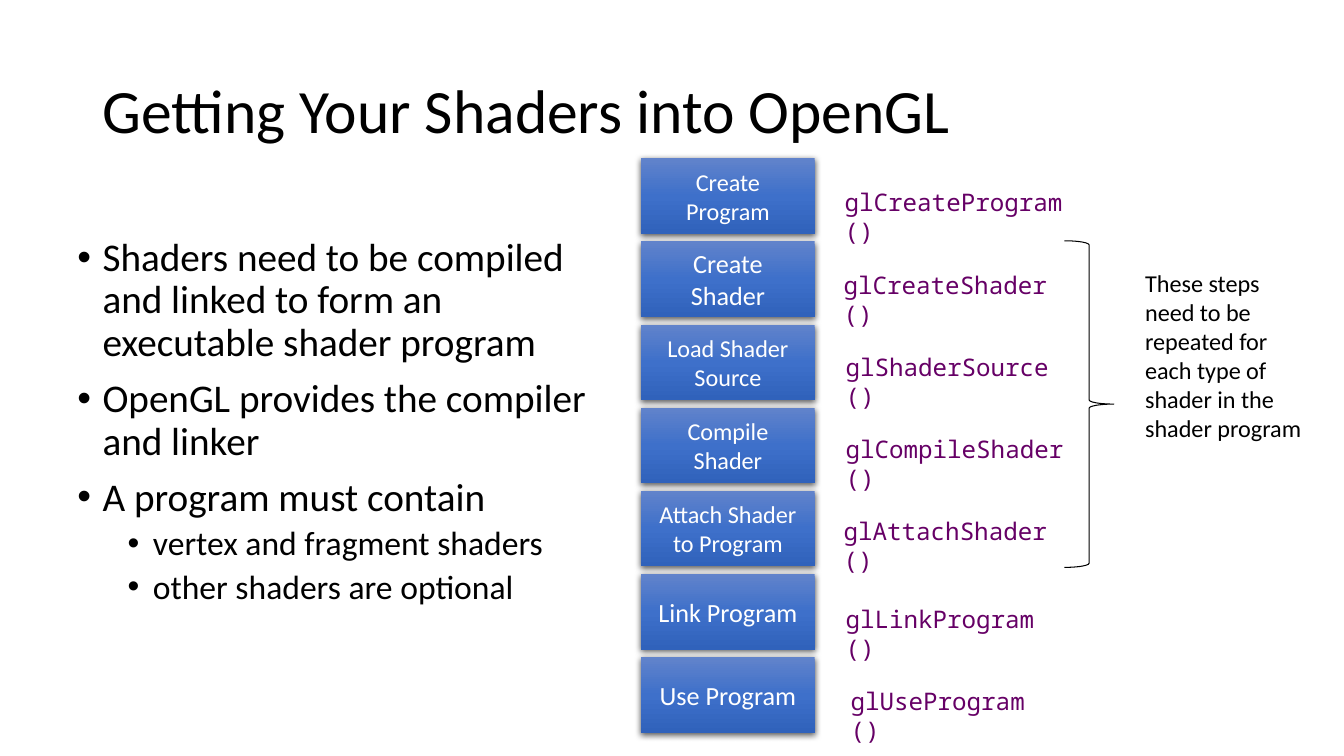
from pptx import Presentation, oxml
from pptx import util as u
from pptx.dml import color
from pptx.enum import shapes, text
from pptx.oxml import ns

Pt = u.Pt

TITLE = "Getting Your Shaders into OpenGL"
BULLETS = [  # level, wording
    (0, "Shaders need to be compiled and linked to form an executable shader program"),
    (0, "OpenGL provides the compiler and linker"),
    (0, "A program must contain"),
    (1, "vertex and fragment shaders"),
    (1, "other shaders are optional"),
]
STEPS = [  # step, text size, call, call left, call top, call width
    ("Create Program", 17.3, "glCreateProgram()", 594.7, 129.6, 180.7),
    ("Create\vShader", 18.7, "glCreateShader()", 594, 188.6, 170.6),
    ("Load Shader Source", 17.3, "glShaderSource()", 595.4, 247, 170.6),
    ("Compile Shader", 17.3, "glCompileShader()", 595.4, 306, 180.7),
    ("Attach Shader to Program", 17.3, "glAttachShader()", 594, 364.3, 170.6),
    ("Link Program", 18.7, "glLinkProgram()", 595.4, 427, 161.3),
    ("Use Program", 18.7, "glUseProgram()", 599, 486, 152),
]
NOTE = "These steps need to be repeated for each type of shader in the shader program"

BLACK, WHITE, PURPLE = "000000", "FFFFFF", "660066"
GRADIENT = [(0, "6183CB"), (50, "3E70CA"), (100, "3062BB")]
STEP_LEFT, STEP_TOP, STEP_WIDTH, STEP_HEIGHT, STEP_PITCH = 458, 113, 124, 54, 59.4
SANS, MONO = "Calibri", "Noto Sans Mono"
WIDE_INSETS = (8.64, 4.32)


def rgb(value):
    return color.RGBColor.from_string(value)


def xml(markup):
    return oxml.parse_xml(markup.replace(">", f" {ns.nsdecls('a')}>", 1))


def set_frame(shape, insets=(7.2, 3.6), anchor=text.MSO_ANCHOR.TOP):
    frame = shape.text_frame
    frame.word_wrap = True
    frame.vertical_anchor = anchor
    frame.margin_left = frame.margin_right = Pt(insets[0])
    frame.margin_top = frame.margin_bottom = Pt(insets[1])
    return frame


def write(para, words, size=17.3, font=SANS, fill=BLACK, align=None, spacing=None):
    para.text = words
    para.alignment = align
    para.line_spacing = spacing
    for span in para.runs:
        span.font.size = Pt(size)
        span.font.name = font
        span.font.color.rgb = rgb(fill)


def add_text(area, words, insets=WIDE_INSETS, anchor=text.MSO_ANCHOR.TOP, **style):
    box = page.shapes.add_textbox(*map(Pt, area))
    write(set_frame(box, insets, anchor).paragraphs[0], words, **style)


def add_bullet(para, level, words):
    write(para, words, size=24 if level else 28, spacing=0.9)
    para.space_before = Pt(5 if level else 10)
    props = para._p.get_or_add_pPr()
    props.set("lvl", str(level))
    props.set("marL", str(Pt(18 + 36 * level)))
    props.set("indent", str(Pt(-18)))
    props.append(xml('<a:buFont typeface="Arial"/>'.replace("/>", "></a:buFont>")))
    props.append(xml('<a:buChar char="•"></a:buChar>'))


def add_step(top, words, size):
    box = page.shapes.add_shape(
        shapes.MSO_SHAPE.FLOWCHART_PROCESS,
        *map(Pt, (STEP_LEFT, top, STEP_WIDTH, STEP_HEIGHT)))
    box.line.fill.background()
    stops = "".join(f'<a:gs pos="{pos * 1000}"><a:srgbClr val="{value}"/></a:gs>'
                    for pos, value in GRADIENT)
    props = box._element.spPr
    props.find(ns.qn("a:ln")).addprevious(xml(
        f'<a:gradFill rotWithShape="1"><a:gsLst>{stops}</a:gsLst>'
        '<a:lin ang="5400000" scaled="0"/></a:gradFill>'))
    props.append(xml(
        f'<a:effectLst><a:outerShdw blurRad="{Pt(4.5)}" dist="{Pt(1.5)}" dir="5400000"'
        ' algn="ctr" rotWithShape="0"><a:srgbClr val="000000"><a:alpha val="63000"/>'
        '</a:srgbClr></a:outerShdw></a:effectLst>'))
    frame = set_frame(box, (8.64, 8.64), text.MSO_ANCHOR.MIDDLE)
    write(frame.paragraphs[0], words, size=size, fill=WHITE, align=text.PP_ALIGN.CENTER)


deck = Presentation()
deck.slide_width, deck.slide_height = Pt(960), Pt(540)
page = deck.slides.add_slide(deck.slide_layouts[6])

# Title
add_text((66, 28.8, 828, 104.4), TITLE, insets=(7.2, 3.6),
         anchor=text.MSO_ANCHOR.MIDDLE, size=44, spacing=0.9)

# Bullets
body = set_frame(page.shapes.add_textbox(*map(Pt, (48.2, 166.3, 401, 333.4))))
for index, (level, words) in enumerate(BULLETS):
    add_bullet(body.add_paragraph() if index else body.paragraphs[0], level, words)

# Steps with their calls
for index, (step, size, call, left, top, width) in enumerate(STEPS):
    add_step(STEP_TOP + index * STEP_PITCH, step, size)
    add_text((left, top, width, 29.5), call, font=MONO, fill=PURPLE)

# Brace over the repeated steps, with its note
brace = page.shapes.add_shape(shapes.MSO_SHAPE.RIGHT_BRACE,
                              *map(Pt, (760.3, 172, 35.3, 233.3)))
brace.shadow.inherit = False
brace.fill.background()
brace.line.color.rgb = rgb(BLACK)
brace.line.width = Pt(0.75)
add_text((809.3, 187.2, 133.2, 134.6), NOTE)

deck.save("out.pptx")
